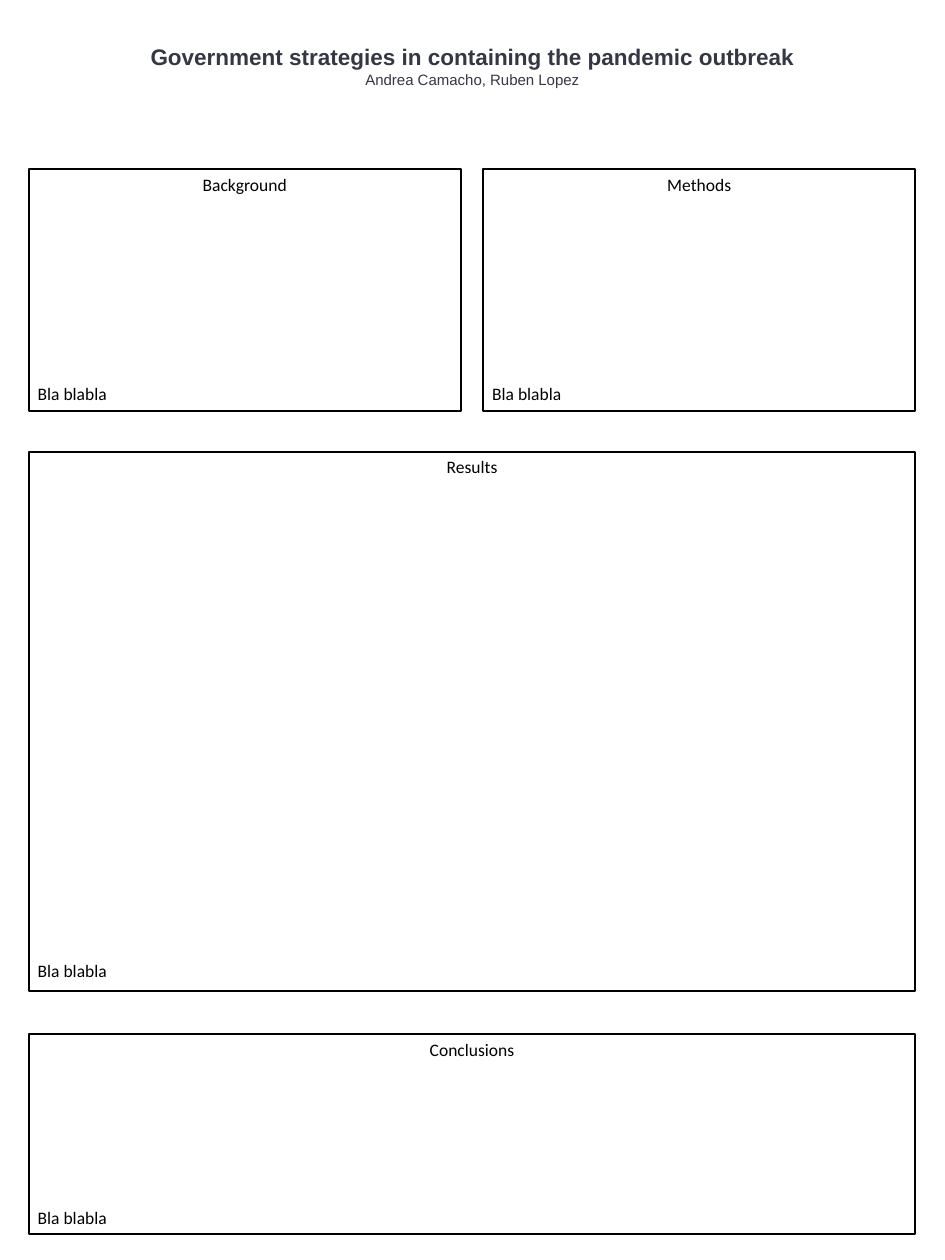
from pptx import Presentation
from pptx.dml.color import RGBColor
from pptx.enum.shapes import MSO_SHAPE as Shape
from pptx.enum.text import MSO_ANCHOR as Anchor, PP_ALIGN as Align
from pptx.util import Inches, Pt

BLACK = RGBColor(0x00, 0x00, 0x00)
SLATE = RGBColor(0x35, 0x37, 0x44)


def write(para, text, font="Calibri", size=14, color=BLACK, bold=False,
          align=Align.LEFT, before=0):
    para.alignment = align
    para.space_before = Pt(before)
    span = para.add_run()
    span.text = text
    span.font.name = font
    span.font.size = Pt(size)
    span.font.bold = bold
    span.font.color.rgb = color


class Poster:
    heading_font = "Arial"
    outline = 1.5

    def __init__(self, page):
        self.page = page

    def heading(self, title, authors, left, top, width, height):
        box = self.page.shapes.add_textbox(
            Inches(left), Inches(top), Inches(width), Inches(height))
        frame = box.text_frame
        frame.word_wrap = True
        style = {"font": self.heading_font, "color": SLATE, "align": Align.CENTER}
        write(frame.paragraphs[0], title, size=18, bold=True, **style)
        write(frame.add_paragraph(), authors, size=12, **style)

    def section(self, title, body, left, top, width, height, gap):
        box = self.page.shapes.add_shape(
            Shape.RECTANGLE, Inches(left), Inches(top), Inches(width), Inches(height))
        box.shadow.inherit = False
        box.fill.background()
        box.line.color.rgb = BLACK
        box.line.width = Pt(self.outline)
        frame = box.text_frame
        frame.word_wrap = True
        frame.vertical_anchor = Anchor.TOP
        write(frame.paragraphs[0], title, align=Align.CENTER)
        write(frame.add_paragraph(), body, before=gap)


deck = Presentation()
deck.slide_width = Inches(10.5)
deck.slide_height = Inches(14)
poster = Poster(deck.slides.add_slide(deck.slide_layouts[6]))

poster.heading("Government strategies in containing the pandemic outbreak",
               "Andrea Camacho, Ruben Lopez", 0, 0.43, 10.5, 0.61)

MARGIN, HALF, FULL = 0.32, 4.8, 9.85
RIGHT = MARGIN + FULL - HALF
SECTIONS = [
    ("Background", MARGIN, 1.88, HALF, 2.69, 151),
    ("Methods", RIGHT, 1.88, HALF, 2.69, 151),
    ("Results", MARGIN, 5.02, FULL, 5.99, 386),
    ("Conclusions", MARGIN, 11.49, FULL, 2.22, 118),
]
for title, left, top, width, height, gap in SECTIONS:
    poster.section(title, "Bla blabla", left, top, width, height, gap)

deck.save("out.pptx")
